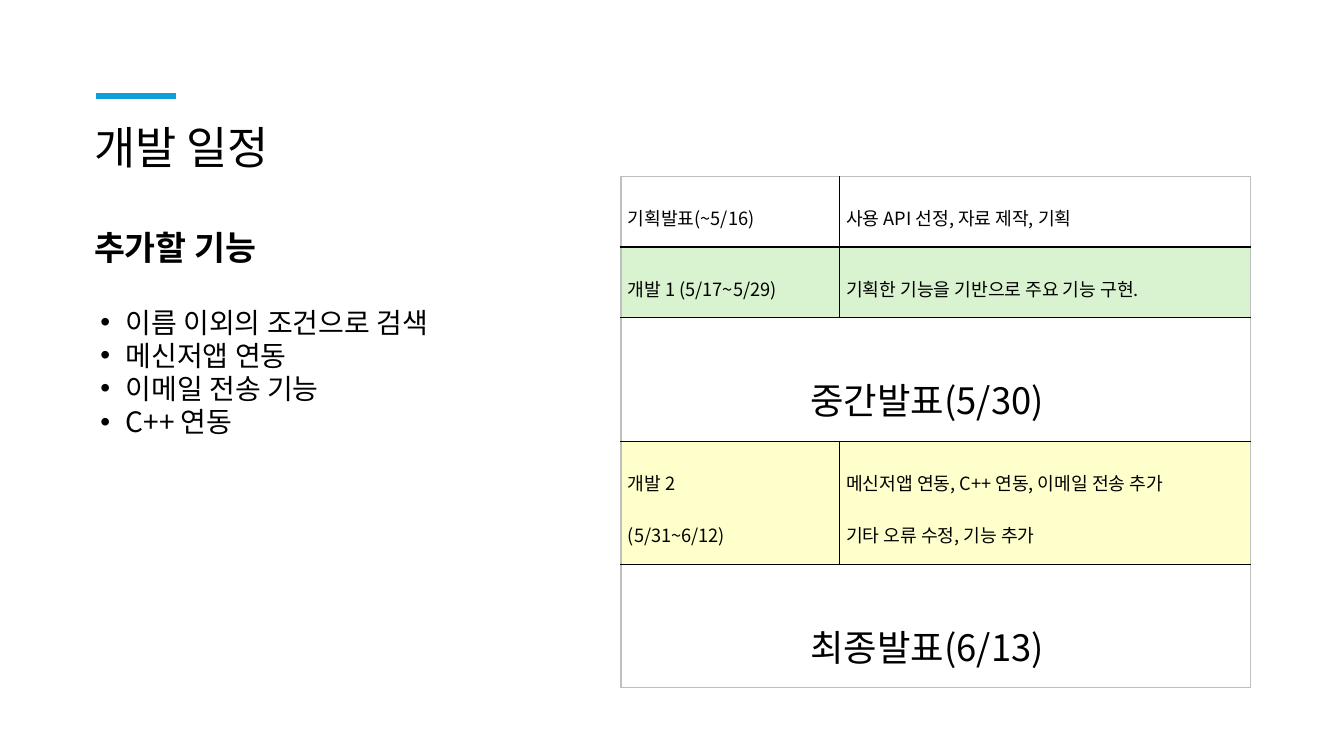
from lxml.etree import SubElement
from pptx import Presentation
from pptx.dml.color import RGBColor
from pptx.enum.shapes import MSO_CONNECTOR
from pptx.enum.text import MSO_ANCHOR, MSO_AUTO_SIZE, PP_ALIGN
from pptx.oxml.ns import qn
from pptx.util import Pt

FONT = "Noto Sans CJK KR"
BLACK = RGBColor(0x00, 0x00, 0x00)
WHITE = RGBColor(0xFF, 0xFF, 0xFF)
GRAY = RGBColor(0xBF, 0xBF, 0xBF)
BLUE = RGBColor(0x0F, 0x9E, 0xD5)
GREEN = RGBColor(0xD9, 0xF2, 0xD0)
YELLOW = RGBColor(0xFF, 0xFF, 0xCC)

FEATURES = ["이름 이외의 조건으로 검색", "메신저앱 연동", "이메일 전송 기능", "C++ 연동"]

# Row height, fill and cell texts; a single text spans both columns
SCHEDULE = [
    (41, WHITE, ["기획발표(~5/16)", "사용 API 선정, 자료 제작, 기획"]),
    (41, GREEN, ["개발 1 (5/17~5/29)", "기획한 기능을 기반으로 주요 기능 구현."]),
    (67, WHITE, ["중간발표(5/30)"]),
    (72, YELLOW, ["개발 2\n(5/31~6/12)",
                  "메신저앱 연동, C++ 연동, 이메일 전송 추가\n기타 오류 수정, 기능 추가"]),
    (67, WHITE, ["최종발표(6/13)"]),
]
COLUMN_WIDTHS = [156, 294]


def format_paragraph(paragraph, size, line_spacing, align=PP_ALIGN.LEFT,
                     bold=False, space_after=0):
    paragraph.alignment = align
    paragraph.line_spacing = line_spacing
    paragraph.space_before = Pt(0)
    paragraph.space_after = Pt(space_after)
    font = paragraph.font
    font.name, font.size, font.bold = FONT, Pt(size), bold
    font.color.rgb = BLACK
    latin = font._element.find(qn("a:latin"))
    east_asian = latin.makeelement(qn("a:ea"), {"typeface": FONT})
    latin.addnext(east_asian)


def set_bullet(paragraph, char=None):
    properties = paragraph._p.get_or_add_pPr()
    if char:
        properties.set("marL", str(Pt(22.5)))
        properties.set("indent", str(Pt(-18)))
        SubElement(properties, qn("a:buFont"), typeface="Arial")
        SubElement(properties, qn("a:buChar"), char=char)
    else:
        properties.set("marL", "0")
        properties.set("indent", "0")
        SubElement(properties, qn("a:buNone"))


def place(placeholder, left, top, width, height):
    placeholder.left, placeholder.top = Pt(left), Pt(top)
    placeholder.width, placeholder.height = Pt(width), Pt(height)
    frame = placeholder.text_frame
    frame.word_wrap = True
    frame.auto_size = MSO_AUTO_SIZE.NONE
    frame.vertical_anchor = MSO_ANCHOR.TOP
    return frame


def add_title(slide):
    frame = place(slide.shapes.title, 60, 89.5, 767, 87)
    frame.margin_top = Pt(0)
    frame.text = "개발 일정"
    format_paragraph(frame.paragraphs[0], 32, 0.9)


def add_features(slide):
    frame = place(slide.placeholders[1], 60, 164, 322, 283)
    frame.text = "\n".join(["추가할 기능"] + FEATURES)
    heading, *items = frame.paragraphs
    set_bullet(heading)
    format_paragraph(heading, 24, 0.8, bold=True, space_after=32)
    for item in items:
        set_bullet(item, "•")
        format_paragraph(item, 20, 0.8, space_after=4.5)


def add_accent(slide):
    accent = slide.shapes.add_connector(
        MSO_CONNECTOR.STRAIGHT, Pt(68.4), Pt(68.4), Pt(126), Pt(68.4))
    accent.line.color.rgb = BLUE
    accent.line.width = Pt(4.5)
    SubElement(accent._element.spPr, qn("a:effectLst"))


def set_borders(cell, colors):
    properties = cell._tc.get_or_add_tcPr()
    for position, (side, color) in enumerate(colors.items()):
        border = properties.makeelement(qn(f"a:{side}"), {"w": str(Pt(1))})
        fill = SubElement(border, qn("a:solidFill"))
        SubElement(fill, qn("a:srgbClr"), val=str(color))
        properties.insert(position, border)


def fill_cell(cell, text, color, size, align):
    cell.text = text
    cell.vertical_anchor = MSO_ANCHOR.MIDDLE
    cell.margin_left, cell.margin_top = Pt(5), Pt(1.5)
    cell.margin_right, cell.margin_bottom = Pt(17.5), Pt(11.5)
    cell.fill.solid()
    cell.fill.fore_color.rgb = color
    for paragraph in cell.text_frame.paragraphs:
        format_paragraph(paragraph, size, 2, align)


def add_schedule(slide):
    last_row, last_column = len(SCHEDULE) - 1, len(COLUMN_WIDTHS) - 1
    schedule = slide.shapes.add_table(
        len(SCHEDULE), len(COLUMN_WIDTHS), Pt(443.5), Pt(126),
        Pt(sum(COLUMN_WIDTHS)), Pt(sum(row[0] for row in SCHEDULE))).table
    schedule.first_row = schedule.horz_banding = False
    for column, width in zip(schedule.columns, COLUMN_WIDTHS):
        column.width = Pt(width)

    for r, (height, color, texts) in enumerate(SCHEDULE):
        schedule.rows[r].height = Pt(height)
        milestone = len(texts) == 1
        if milestone:
            schedule.cell(r, 0).merge(schedule.cell(r, last_column))
        size, align = (26, PP_ALIGN.CENTER) if milestone else (13, PP_ALIGN.LEFT)
        for c, text in enumerate(texts):
            fill_cell(schedule.cell(r, c), text, color, size, align)
        # Gray frame outside, black rules inside
        for c in range(last_column + 1):
            set_borders(schedule.cell(r, c), {
                "lnL": GRAY if c == 0 else BLACK,
                "lnR": GRAY if c == last_column or milestone else BLACK,
                "lnT": GRAY if r == 0 else BLACK,
                "lnB": GRAY if r == last_row else BLACK,
            })


def main():
    presentation = Presentation()
    presentation.slide_width, presentation.slide_height = Pt(960), Pt(540)
    slide = presentation.slides.add_slide(presentation.slide_layouts[1])
    add_title(slide)
    add_accent(slide)
    add_schedule(slide)
    add_features(slide)
    presentation.save("out.pptx")


if __name__ == "__main__":
    main()
